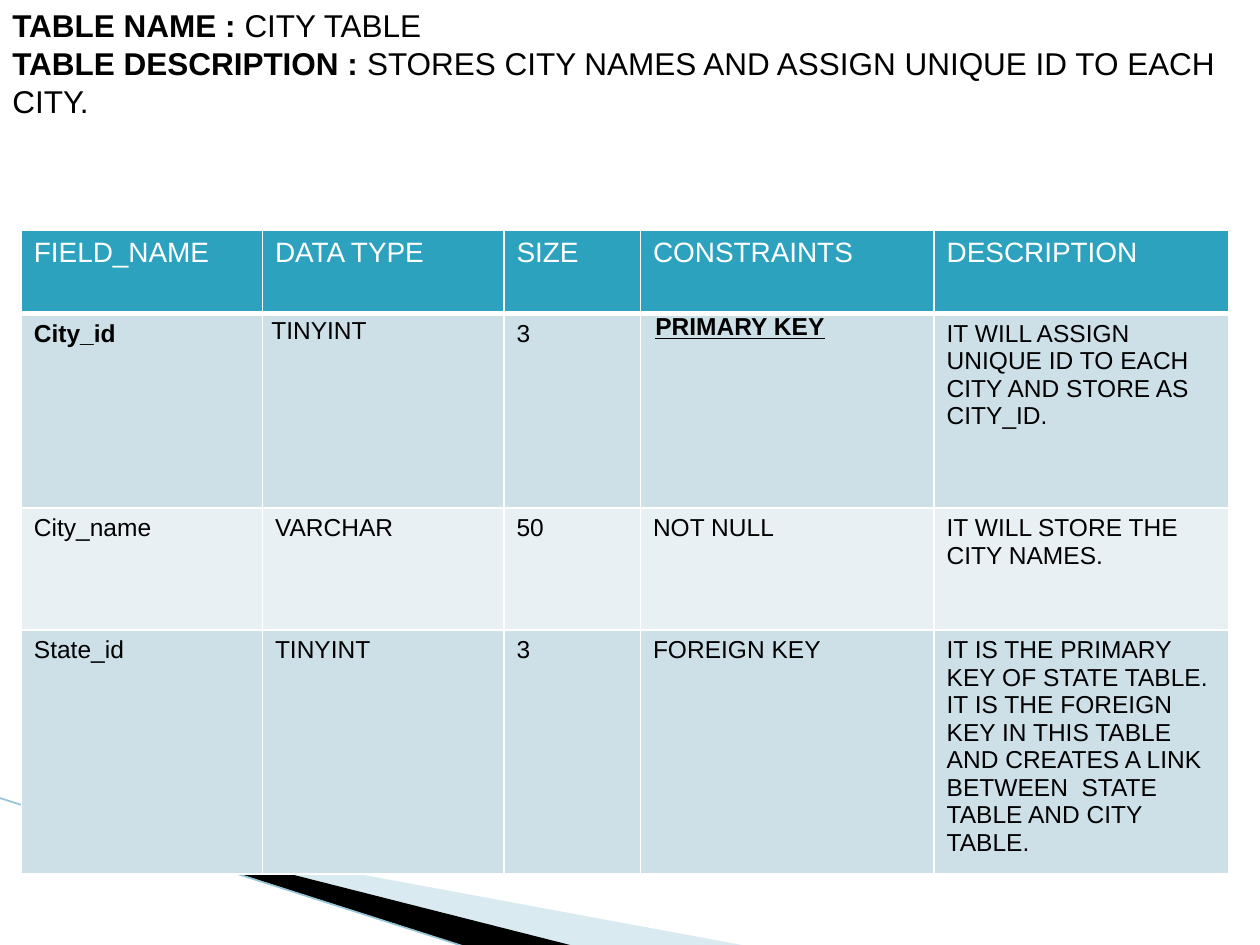
from dataclasses import dataclass, field

from lxml import etree
from pptx import Presentation
from pptx.dml.color import RGBColor
from pptx.enum.shapes import MSO_CONNECTOR
from pptx.enum.text import MSO_AUTO_SIZE
from pptx.oxml.ns import qn
from pptx.util import Cm, Pt

STRAIGHT = MSO_CONNECTOR.STRAIGHT
GROW = MSO_AUTO_SIZE.SHAPE_TO_FIT_TEXT

BLACK = RGBColor(0x00, 0x00, 0x00)
WHITE = RGBColor(0xFF, 0xFF, 0xFF)
TEAL = RGBColor(0x2D, 0xA2, 0xBF)
BAND_DARK = RGBColor(0xCD, 0xE0, 0xE8)
BAND_LIGHT = RGBColor(0xE8, 0xF0, 0xF4)
WEDGE_BLUE = RGBColor(0xA0, 0xCB, 0xDC)
EDGE_BLUE = RGBColor(0x97, 0xC5, 0xD8)

FONT = "Arial"
HEADING_SIZE, HEADER_SIZE, BODY_SIZE = 18, 16, 14


@dataclass
class Wedge:
    frame: tuple[float, float, float, float]
    points: list[tuple[float, float]]
    color: RGBColor
    opacity: int = 100


@dataclass
class Entry:
    text: str
    font: dict = field(default_factory=dict)
    cell: dict = field(default_factory=dict)
    para: dict = field(default_factory=dict)


WEDGES = [
    Wedge((1.98, 13.89, 10.57, 4.01),
          [(1.4, 16.54), (15.11, 19.08), (11.58, 19.08), (1.4, 16.51)], WEDGE_BLUE, 40),
    Wedge((-0.15, 16.08, 10.57, 2.34),
          [(1.35, 16.48), (11.61, 19.08), (9.45, 19.1), (1.37, 16.51)], BLACK),
]
HEADINGS = [
    ("TABLE NAME : ", "CITY TABLE"),
    ("TABLE DESCRIPTION : ", "STORES CITY NAMES AND ASSIGN UNIQUE ID TO EACH CITY."),
]
COLUMN_WIDTHS = [4.86, 4.87, 2.75, 5.92, 5.93]
ROW_HEIGHTS = [1.67, 3.92, 2.46, 4.92]


def insets(side: float) -> dict:
    return {"margin_left": Cm(side), "margin_right": Cm(side),
            "margin_top": 0, "margin_bottom": 0}


FIELDS = [
    [Entry(name) for name in
     ("FIELD_NAME", "DATA TYPE", "SIZE", "CONSTRAINTS", "DESCRIPTION")],
    [
        Entry("City_id", {"bold": True}),
        Entry("TINYINT", cell=insets(0.18), para={"line_spacing": 1.15}),
        Entry("3"),
        Entry("PRIMARY KEY", {"bold": True, "underline": True}, insets(0.3)),
        Entry("IT WILL ASSIGN UNIQUE ID TO EACH CITY AND STORE AS CITY_ID."),
    ],
    [Entry(text) for text in
     ("City_name", "VARCHAR", "50", "NOT NULL", "IT WILL STORE THE CITY NAMES.")],
    [Entry(text) for text in
     ("State_id", "TINYINT", "3", "FOREIGN KEY",
      "IT IS THE PRIMARY KEY OF STATE TABLE. IT IS THE FOREIGN KEY IN THIS TABLE "
      "AND CREATES A LINK BETWEEN  STATE TABLE AND CITY TABLE.")],
]


def apply(target, values: dict) -> None:
    for name, value in values.items():
        setattr(target, name, value)


def add_span(para, text: str, size: int, color: RGBColor, **extra) -> None:
    span = para.add_run()
    span.text = text
    apply(span.font, {"name": FONT, "size": Pt(size), "bold": False, **extra})
    span.font.color.rgb = color


def set_frame(shape, frame: tuple[float, float, float, float]) -> None:
    """Give the outline a frame of its own, while its points stay in place."""
    left, top, width, height = map(Cm, frame)
    shift_x, shift_y = shape.left - left, shape.top - top
    outline = next(shape._element.iter(qn("a:path")))
    outline.set("w", str(width))
    outline.set("h", str(height))
    for point in outline.iter(qn("a:pt")):
        point.set("x", str(int(point.get("x")) + shift_x))
        point.set("y", str(int(point.get("y")) + shift_y))
    apply(shape, {"left": left, "top": top, "width": width, "height": height})


def draw_wedge(page, wedge: Wedge) -> None:
    first, *rest = [(Cm(x), Cm(y)) for x, y in wedge.points]
    builder = page.shapes.build_freeform(*first)
    builder.add_line_segments(rest, close=True)
    shape = builder.convert_to_shape()
    set_frame(shape, wedge.frame)
    shape.shadow.inherit = False
    shape.fill.solid()
    shape.fill.fore_color.rgb = wedge.color
    shape.line.fill.background()
    if wedge.opacity < 100:
        color = next(shape._element.spPr.iter(qn("a:srgbClr")))
        etree.SubElement(color, qn("a:alpha"), val=str(wedge.opacity * 1000))


def draw_edge(page) -> None:
    edge = page.shapes.add_connector(STRAIGHT, Cm(-0.03), Cm(16.08), Cm(9.42), Cm(19.1))
    edge.line.color.rgb = EDGE_BLUE
    edge.line.width = Pt(0.95)
    etree.SubElement(edge._element.spPr, qn("a:effectLst"))


def add_border(cell, side: str, width: float) -> None:
    properties = cell._tc.get_or_add_tcPr()
    line = etree.SubElement(properties, qn(f"a:ln{side}"), w=str(Pt(width)))
    fill = etree.SubElement(line, qn("a:solidFill"))
    etree.SubElement(fill, qn("a:srgbClr"), val=str(WHITE))


def fill_cell(cell, entry: Entry, row: int) -> None:
    is_header = row == 0
    for side in "LRTB":
        thick = (is_header and side == "B") or (row == 1 and side == "T")
        add_border(cell, side, 3 if thick else 1)
    cell.fill.solid()
    cell.fill.fore_color.rgb = TEAL if is_header else BAND_DARK if row % 2 else BAND_LIGHT
    apply(cell, entry.cell)
    para = cell.text_frame.paragraphs[0]
    apply(para, entry.para)
    add_span(para, entry.text, HEADER_SIZE if is_header else BODY_SIZE,
             WHITE if is_header else BLACK, **entry.font)


def draw_table(page) -> None:
    frame = page.shapes.add_table(
        len(ROW_HEIGHTS), len(COLUMN_WIDTHS), Cm(0.43), Cm(4.65),
        Cm(sum(COLUMN_WIDTHS)), Cm(sum(ROW_HEIGHTS)))
    table = frame.table
    for column, width in zip(table.columns, COLUMN_WIDTHS):
        column.width = Cm(width)
    for row, height in zip(table.rows, ROW_HEIGHTS):
        row.height = Cm(height)
    for row, entries in enumerate(FIELDS):
        for column, entry in enumerate(entries):
            fill_cell(table.cell(row, column), entry, row)


def draw_headings(page) -> None:
    box = page.shapes.add_textbox(0, 0, Cm(25.4), Cm(3.33))
    text = box.text_frame
    apply(text, {"word_wrap": True, "auto_size": GROW})
    for index, (label, value) in enumerate(HEADINGS):
        para = text.add_paragraph() if index else text.paragraphs[0]
        add_span(para, label, HEADING_SIZE, BLACK, bold=True)
        add_span(para, value, HEADING_SIZE, BLACK)


def main() -> None:
    deck = Presentation()
    apply(deck, {"slide_width": Cm(25.4), "slide_height": Cm(19.05)})
    page = deck.slides.add_slide(deck.slide_layouts[6])

    # Corner decoration
    for wedge in WEDGES:
        draw_wedge(page, wedge)
    draw_edge(page)

    # Field table and headings
    draw_table(page)
    draw_headings(page)
    deck.save("out.pptx")


if __name__ == "__main__":
    main()
